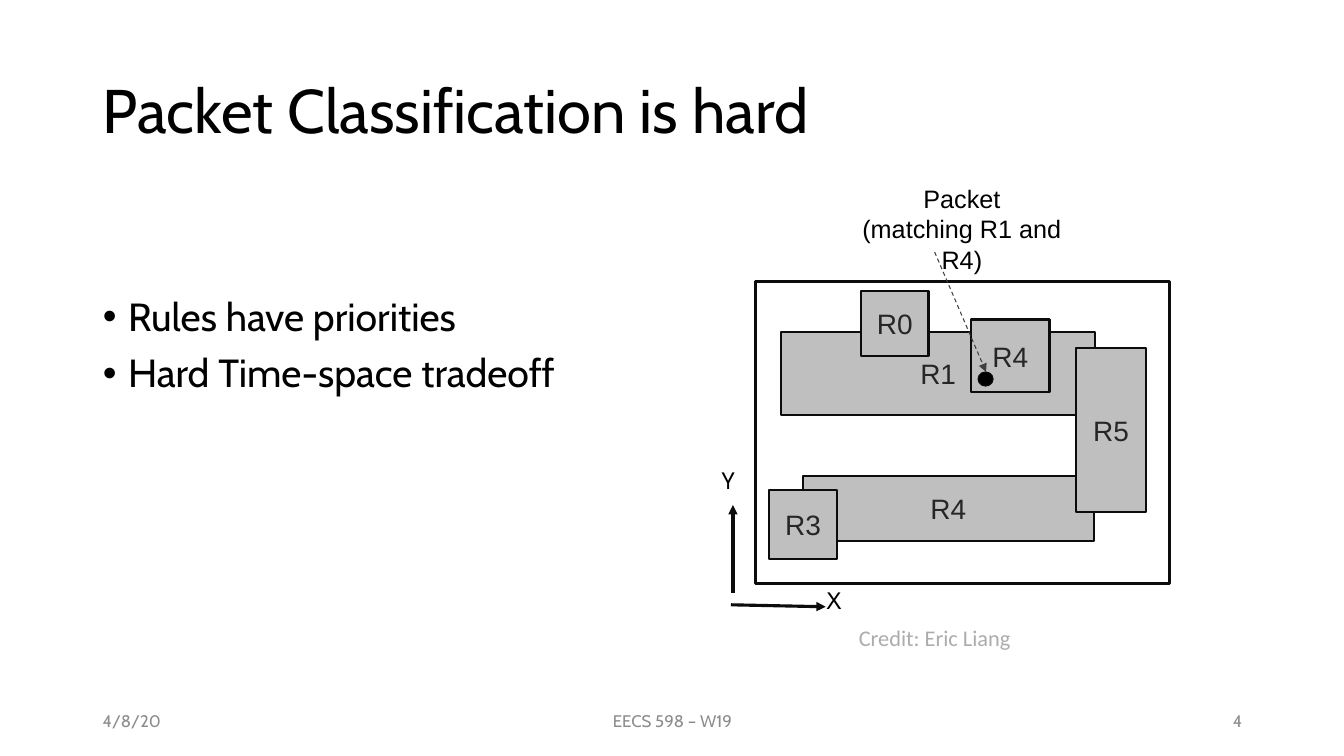
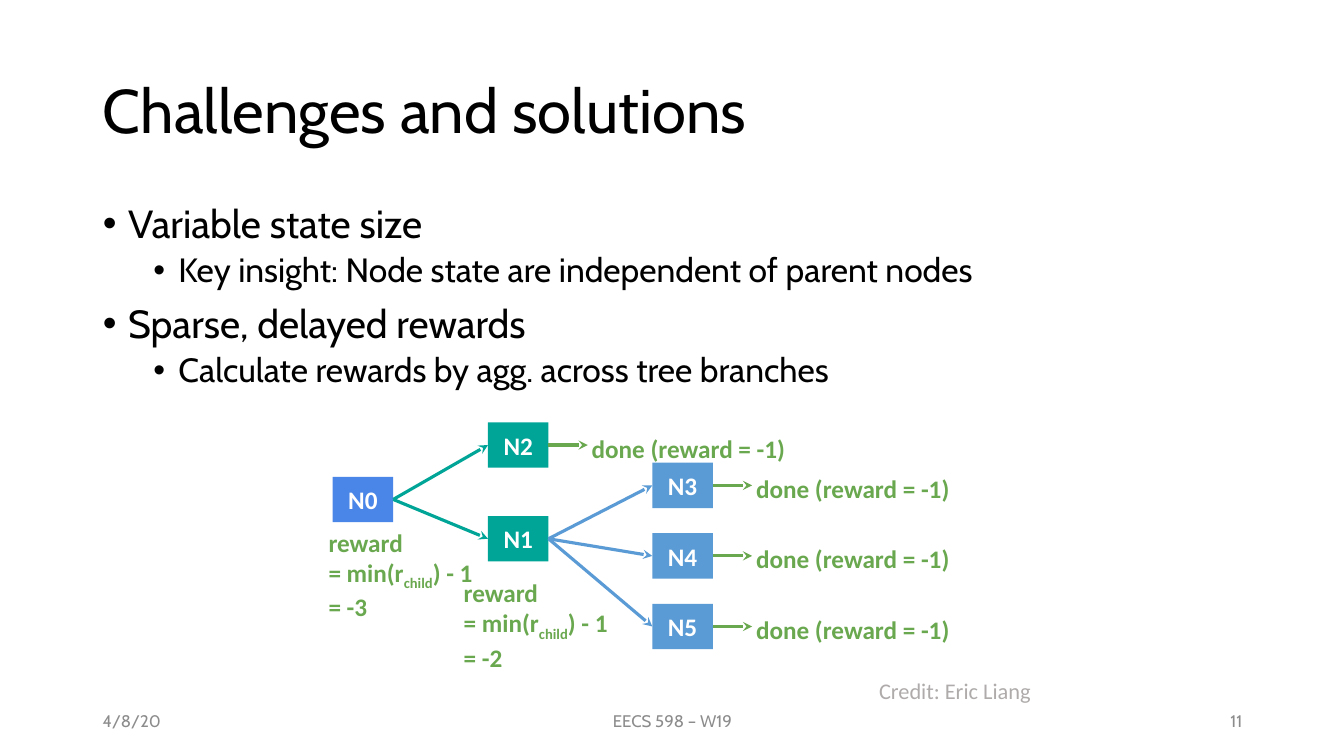
from lxml import etree
from pptx import Presentation
from pptx import util as u
from pptx.dml.color import RGBColor
from pptx.enum import dml, shapes, text
from pptx.oxml import ns

Inches, Pt = u.Inches, u.Pt
BLACK = RGBColor(0x00, 0x00, 0x00)
WHITE = RGBColor(0xFF, 0xFF, 0xFF)
FOOTER_GRAY = RGBColor(0x8C, 0x8C, 0x8C)
CREDIT_GRAY = RGBColor(0xAF, 0xAB, 0xAB)
RULE_FILL = RGBColor(0xBF, 0xBF, 0xBF)
RULE_TEXT = RGBColor(0x26, 0x26, 0x26)
OUTLINE = RGBColor(0x0C, 0x0C, 0x0C)
POINTER_GRAY = RGBColor(0x3F, 0x3F, 0x3F)
ROOT_BLUE = RGBColor(0x4A, 0x86, 0xE8)
TEAL = RGBColor(0x00, 0xA5, 0x98)
LEAF_BLUE = RGBColor(0x5B, 0x9B, 0xD5)
GREEN = RGBColor(0x6A, 0xA8, 0x4F)

MAIN_FONT, LABEL_FONT, TREE_FONT, AXIS_FONT = "Cabin", "Arial", "Calibri", "League Spartan"
LEFT, CENTER, RIGHT = text.PP_ALIGN.LEFT, text.PP_ALIGN.CENTER, text.PP_ALIGN.RIGHT
TOP, MIDDLE = text.MSO_ANCHOR.TOP, text.MSO_ANCHOR.MIDDLE
RECTANGLE, OVAL = shapes.MSO_SHAPE.RECTANGLE, shapes.MSO_SHAPE.OVAL
LEVELS = [(28, 10, 0.25), (24, 5, 0.75)]


def style_text(frame, font, size, color, align=LEFT, bold=False):
    """Format every run of a text frame alike."""
    for paragraph in frame.paragraphs:
        paragraph.alignment = align
        for run in paragraph.runs:
            run.font.name, run.font.size, run.font.bold = font, Pt(size), bold
            run.font.color.rgb = color


def set_box(frame, anchor, inset=0.05):
    """Set wrapping, anchor and insets of a text frame."""
    frame.word_wrap = True
    frame.auto_size = text.MSO_AUTO_SIZE.NONE
    frame.vertical_anchor = anchor
    frame.margin_left = frame.margin_right = Inches(0.1)
    frame.margin_top = frame.margin_bottom = Inches(inset)


def add_text(slide, box, words, font, size, color, align=LEFT, bold=False, anchor=TOP, inset=0.05):
    """Add a text box and return its text frame."""
    frame = slide.shapes.add_textbox(*map(Inches, box)).text_frame
    set_box(frame, anchor, inset)
    frame.text = words
    style_text(frame, font, size, color, align, bold)
    return frame


def add_block(slide, box, fill=None, outline=None, width=1.5, kind=RECTANGLE):
    """Add a flat shape with optional fill and outline."""
    shape = slide.shapes.add_shape(kind, *map(Inches, box))
    shape.shadow.inherit = False
    for part, color in ((shape.fill, fill), (shape.line.fill, outline)):
        if color is None:
            part.background()
        else:
            part.solid()
            part.fore_color.rgb = color
    if outline is not None:
        shape.line.width = Pt(width)
    return shape


def add_label_block(slide, box, label, style, **look):
    """Add a block with a centred label."""
    shape = add_block(slide, box, **look)
    set_box(shape.text_frame, MIDDLE)
    shape.text_frame.text = label
    style_text(shape.text_frame, *style)
    return shape


def add_arrow(slide, start, end, color, head, width=2.25, dashed=False):
    """Add a straight arrow between two points."""
    points = map(Inches, (*start, *end))
    arrow = slide.shapes.add_connector(shapes.MSO_CONNECTOR.STRAIGHT, *points)
    arrow.line.color.rgb = color
    arrow.line.width = Pt(width)
    if dashed:
        arrow.line.dash_style = dml.MSO_LINE.DASH
    properties = arrow._element.spPr
    line = properties.find(ns.qn("a:ln"))
    etree.SubElement(line, ns.qn("a:tailEnd"), type=head)
    etree.SubElement(properties, ns.qn("a:effectLst"))
    return arrow


def fill_title(slide, words):
    """Place and format the slide title."""
    title = slide.shapes.title
    title.left, title.top, title.width, title.height = map(Inches, (0.92, 0.4, 11.5, 1.45))
    set_box(title.text_frame, MIDDLE)
    title.text_frame.text = words
    title.text_frame.paragraphs[0].line_spacing = 0.9
    style_text(title.text_frame, MAIN_FONT, 44, BLACK)


def fill_body(slide, top, inset, items):
    """Place the bullet list of (level, words) pairs."""
    body = slide.placeholders[1]
    body.left, body.top, body.width, body.height = map(Inches, (0.92, top, 11.5, 4.76))
    frame = body.text_frame
    set_box(frame, TOP)
    frame.margin_top = Inches(inset)
    frame.text = "\n".join(words for _, words in items)
    style_text(frame, MAIN_FONT, 28, BLACK)
    for paragraph, (level, _) in zip(frame.paragraphs, items):
        size, gap, indent = LEVELS[level]
        paragraph.level = level
        paragraph.line_spacing = 0.9
        paragraph.space_before, paragraph.space_after = Pt(gap), Pt(0)
        paragraph.runs[0].font.size = Pt(size)
        properties = paragraph._p.get_or_add_pPr()
        properties.set("marL", str(Inches(indent)))
        properties.set("indent", str(Inches(-0.25)))
        etree.SubElement(properties, ns.qn("a:buFont"), typeface="Arial")
        etree.SubElement(properties, ns.qn("a:buChar"), char="•")


def add_footer(slide, number):
    """Add date, course and slide number."""
    for left, width, words, align in ((0.92, 3, "4/8/20", LEFT),
                                      (4.42, 4.5, "EECS 598 – W19", CENTER),
                                      (9.42, 3, number, RIGHT)):
        add_text(slide, (left, 6.95, width, 0.4), words, MAIN_FONT, 12, FOOTER_GRAY, align,
                 anchor=MIDDLE)


def add_credit(slide, left, top):
    """Add the figure credit."""
    add_text(slide, (left, top, 4.7, 0.37), "Credit: Eric Liang", TREE_FONT, 16, CREDIT_GRAY)


def start_slide(presentation, title, number, body):
    """Add a slide with title, list and footer."""
    slide = presentation.slides.add_slide(presentation.slide_layouts[1])
    fill_title(slide, title)
    fill_body(slide, *body)
    add_footer(slide, number)
    return slide


def add_rule_map(slide, left, top):
    """Draw overlapping rules, axes and the packet relative to the frame corner."""
    rules = [("R4", 0.47, 1.93, 2.89, 0.65), ("R3", 0.14, 2.07, 0.67, 0.69),
             ("R1", 0.26, 0.5, 3.11, 0.83), ("R5", 3.18, 0.66, 0.7, 1.63),
             ("R0", 1.05, 0.1, 0.67, 0.64), ("R4", 2.14, 0.38, 0.78, 0.72)]
    for label, x, y, width, height in rules:
        add_label_block(slide, (left + x, top + y, width, height), label,
                        (LABEL_FONT, 20, RULE_TEXT, CENTER), fill=RULE_FILL, outline=OUTLINE)
    add_block(slide, (left, top, 4.11, 3), outline=OUTLINE, width=2.25)

    axes = [("X", (-0.24, 3.21), (0.7, 3.23), (0.61, 2.96)),
            ("Y", (-0.22, 3.09), (-0.22, 2.22), (-0.43, 1.77))]
    for label, (x1, y1), (x2, y2), (x, y) in axes:
        add_arrow(slide, (left + x1, top + y1), (left + x2, top + y2), OUTLINE, "triangle")
        add_text(slide, (left + x, top + y, 0.43, 0.51), label, AXIS_FONT, 18, BLACK)

    add_block(slide, (left + 2.21, top + 0.9, 0.15, 0.14), BLACK, OUTLINE, 0.75, OVAL)
    add_arrow(slide, (left + 1.78, top - 0.29), (left + 2.29, top + 0.9), POINTER_GRAY,
              "triangle", 0.75, True)
    add_text(slide, (left + 0.8, top - 1.02, 2.5, 0.71), "Packet\n(matching R1 and R4)",
             LABEL_FONT, 18, BLACK, CENTER)


def add_reward(slide, left, top, value):
    """Add the reward formula of an inner node."""
    frame = add_text(slide, (left, top, 2.49, 0.34), f"reward\n= min(r\n= {value}",
                     TREE_FONT, 18, GREEN, inset=0.1)
    formula = frame.paragraphs[1]
    subscript, ending = formula.add_run(), formula.add_run()
    subscript.text, ending.text = "child", ") - 1"
    subscript._r.get_or_add_rPr().set("baseline", "-25000")
    style_text(frame, TREE_FONT, 18, GREEN, bold=True)


def add_reward_tree(slide, left, top):
    """Draw the decision tree with rewards relative to its top left corner."""
    width, height = 0.6, 0.45
    nodes = {"N0": (0, 0.54, ROOT_BLUE), "N1": (1.54, 0.93, TEAL), "N2": (1.54, 0, TEAL)}
    nodes.update({f"N{3 + i}": (3.17, 0.4 + 0.7 * i, LEAF_BLUE) for i in range(3)})
    blocks = {name: add_label_block(slide, (left + x, top + y, width, height), name,
                                    (TREE_FONT, 18, WHITE, CENTER, True), fill=color)
              for name, (x, y, color) in nodes.items()}

    for parent, children in (("N0", ("N1", "N2")), ("N1", ("N3", "N4", "N5"))):
        for child in children:
            edge = add_arrow(slide, (left, top), (left, top), nodes[child][2], "stealth")
            edge.begin_connect(blocks[parent], 3)
            edge.end_connect(blocks[child], 1)

    for name in ("N2", "N3", "N4", "N5"):
        x, y = left + nodes[name][0] + width, top + nodes[name][1] + height / 2
        arrow = add_arrow(slide, (x, y), (x + 0.39, y), GREEN, "stealth")
        arrow.begin_connect(blocks[name], 3)
        add_text(slide, (x + 0.33, y - 0.22, 2.49, 0.34), "done (reward = -1)",
                 TREE_FONT, 18, GREEN, bold=True, inset=0.1)

    add_reward(slide, left + 1.2, top + 1.44, "-2")
    add_reward(slide, left - 0.14, top + 0.94, "-3")


def add_classification_slide(presentation):
    """Build the slide on packet classification."""
    items = [(0, "Rules have priorities"), (0, "Hard Time-space tradeoff")]
    slide = start_slide(presentation, "Packet Classification is hard", "4", (1.07, 1.88, items))
    add_rule_map(slide, 7.49, 2.79)
    add_credit(slide, 8.42, 6.14)


def add_challenges_slide(presentation):
    """Build the slide on challenges and solutions."""
    items = [(0, "Variable state size"),
             (1, "Key insight: Node state are independent of parent nodes"),
             (0, "Sparse, delayed rewards"),
             (1, "Calculate rewards by agg. across tree branches")]
    slide = start_slide(presentation, "Challenges and solutions", "11", (1.58, 0.45, items))
    add_reward_tree(slide, 3.3, 4.19)
    add_credit(slide, 8.62, 6.67)


def main():
    """Build and save the presentation."""
    presentation = Presentation()
    presentation.slide_width, presentation.slide_height = Inches(13.33), Inches(7.5)
    add_classification_slide(presentation)
    add_challenges_slide(presentation)
    presentation.save("out.pptx")


if __name__ == "__main__":
    main()
